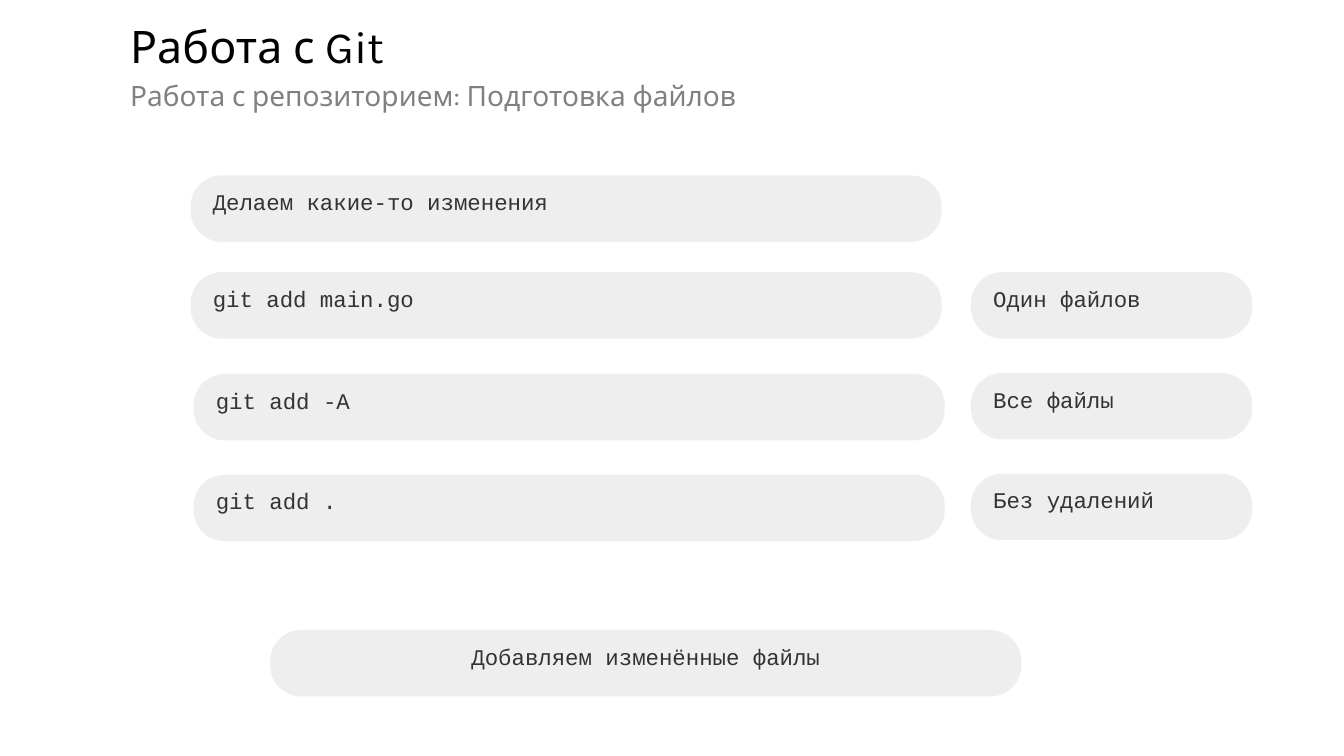
from pptx import Presentation
from pptx.dml.color import RGBColor
from pptx.enum.shapes import MSO_SHAPE
from pptx.enum.text import MSO_ANCHOR, MSO_AUTO_SIZE, PP_ALIGN
from pptx.util import Inches, Pt

ROUNDED = MSO_SHAPE.ROUNDED_RECTANGLE
BOTTOM, MIDDLE = MSO_ANCHOR.BOTTOM, MSO_ANCHOR.MIDDLE
LEFT, CENTER = PP_ALIGN.LEFT, PP_ALIGN.CENTER
NO_AUTOFIT = MSO_AUTO_SIZE.NONE

COLORS = {"title": "000000", "subtitle": "808080", "pill": "EEEEEE", "code": "333333"}
HEADING_FONT, CODE_FONT = "Karla", "Courier New"
PILL_HEIGHT, STEP_WIDTH, NOTE_WIDTH = 0.66, 7.45, 2.79
NOTE_LEFT = 9.63

# Command, its left and top, the note beside it and the note's top
COMMANDS = [
    ("git add main.go", 1.89, 2.7, "Один файлов", 2.7),
    ("git add -A", 1.92, 3.71, "Все файлы", 3.7),
    ("git add .", 1.92, 4.71, "Без удалений", 4.7),
]


def style_paragraph(paragraph, font_name, size, color, align):
    paragraph.alignment = align
    paragraph.font.name = font_name
    paragraph.font.size = Pt(size)
    paragraph.font.color.rgb = RGBColor.from_string(COLORS[color])


def fill_heading(placeholder, text, box, size, color):
    left, top, width, height = map(Inches, box)
    placeholder.left, placeholder.top = left, top
    placeholder.width, placeholder.height = width, height
    frame = placeholder.text_frame
    frame.text = text
    frame.auto_size = NO_AUTOFIT
    frame.vertical_anchor = BOTTOM
    paragraph = frame.paragraphs[0]
    paragraph.line_spacing = 0.9
    paragraph.space_before = Pt(0)
    style_paragraph(paragraph, HEADING_FONT, size, color, LEFT)


def add_pill(slide, text, left, top, width, align=LEFT):
    pill = slide.shapes.add_shape(
        ROUNDED, Inches(left), Inches(top), Inches(width), Inches(PILL_HEIGHT))
    pill.adjustments[0] = 0.469
    pill.shadow.inherit = False
    pill.fill.solid()
    pill.fill.fore_color.rgb = RGBColor.from_string(COLORS["pill"])
    pill.line.fill.background()
    frame = pill.text_frame
    frame.text = text
    frame.word_wrap = True
    frame.vertical_anchor = MIDDLE
    frame.margin_left = Inches(0.13 if align == LEFT else 0)
    frame.margin_right = Inches(0)
    frame.margin_top, frame.margin_bottom = Inches(0.03), Inches(0.17)
    style_paragraph(frame.paragraphs[0], CODE_FONT, 16, "code", align)


def main():
    deck = Presentation()
    deck.slide_width, deck.slide_height = Inches(13.33), Inches(7.5)
    slide = deck.slides.add_slide(deck.slide_layouts[0])

    # Headings
    fill_heading(slide.shapes.title, "Работа с Git",
                 (1.19, 0.25, 3.08, 0.53), 32, "title")
    fill_heading(slide.placeholders[1], "Работа с репозиторием: Подготовка файлов",
                 (1.19, 0.79, 10.43, 0.38), 20, "subtitle")

    # Steps with their notes
    add_pill(slide, "Делаем какие-то изменения", 1.89, 1.74, STEP_WIDTH)
    for command, left, top, note, note_top in COMMANDS:
        add_pill(slide, command, left, top, STEP_WIDTH)
        add_pill(slide, note, NOTE_LEFT, note_top, NOTE_WIDTH)

    # Summary
    add_pill(slide, "Добавляем изменённые файлы", 2.68, 6.25, STEP_WIDTH, CENTER)

    deck.save("out.pptx")


if __name__ == "__main__":
    main()
